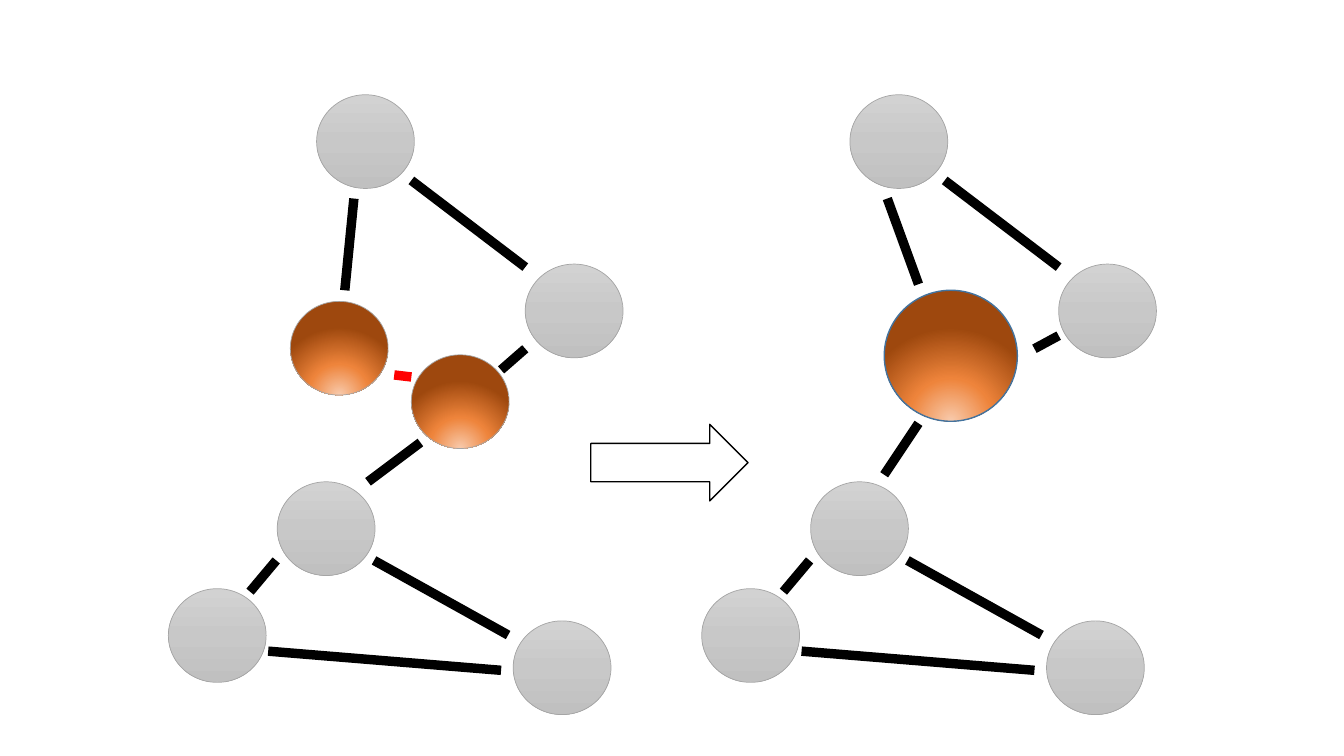
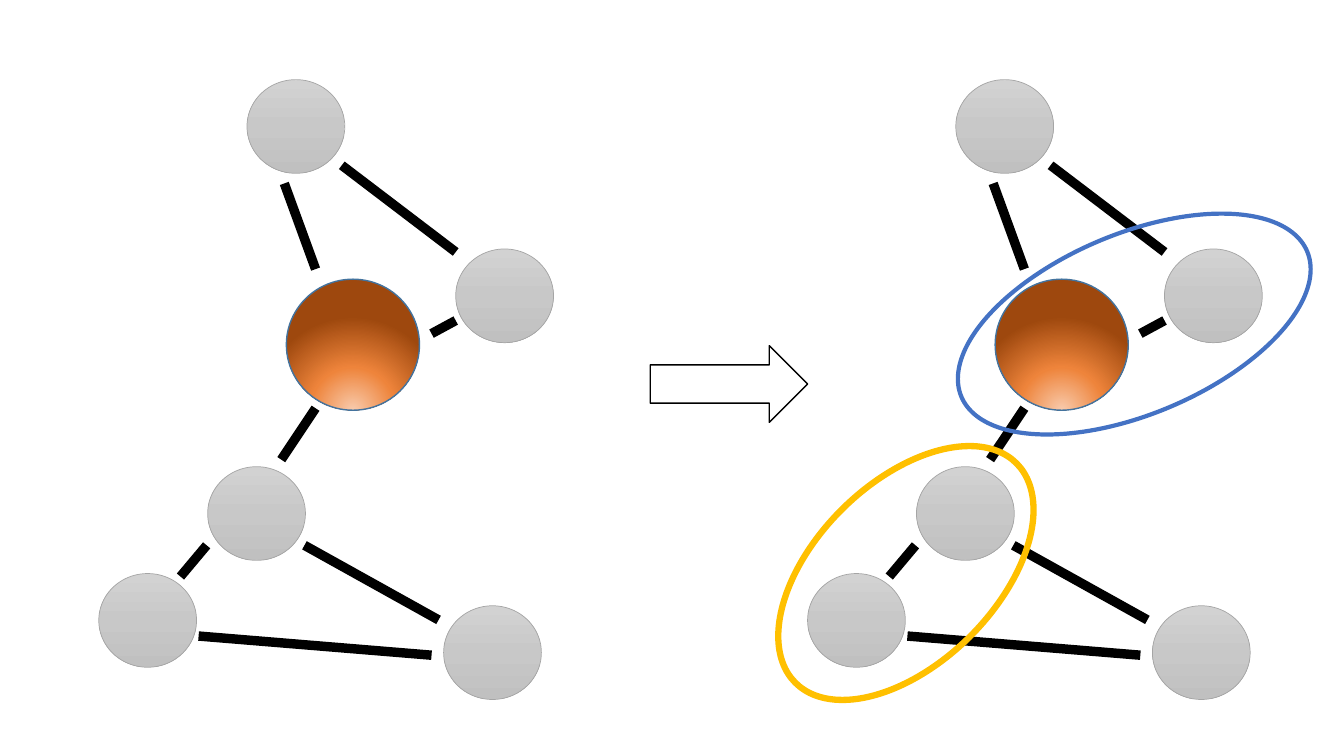
from lxml import etree
from pptx import Presentation
from pptx import util as u
from pptx.dml.color import RGBColor
from pptx.enum import shapes
from pptx.oxml import ns

BLACK = RGBColor(0x00, 0x00, 0x00)
WHITE = RGBColor(0xFF, 0xFF, 0xFF)
RED = RGBColor(0xFF, 0x00, 0x00)
BLUE = RGBColor(0x44, 0x72, 0xC4)
GOLD = RGBColor(0xFF, 0xC0, 0x00)
GREY_EDGE = RGBColor(0xA5, 0xA5, 0xA5)
HUB_EDGE = RGBColor(0x43, 0x73, 0x9E)

# Gradient stops: position in percent, colour
GREY_STOPS = [(0, RGBColor(0xD2, 0xD2, 0xD2)), (50, RGBColor(0xC8, 0xC8, 0xC8)),
              (100, RGBColor(0xC0, 0xC0, 0xC0))]
ORANGE_STOPS = [(0, RGBColor(0xF8, 0xCB, 0xAD)), (46, RGBColor(0xEE, 0x84, 0x3B)),
                (100, RGBColor(0x9E, 0x48, 0x0E))]

# Network geometry, in inches from the network's own origin
NODE_SIZE = (0.97, 0.93)
HUB_SIZE = (1.32, 1.3)
GREY_NODES = [(3.54, 1.68), (1.47, 0), (3.42, 5.22), (1.08, 3.84), (0, 4.9)]
SPLIT_NODES = [(1.21, 2.05), (2.41, 2.58)]
OUTER_LINKS = [(2.04, 4.62, 3.37, 5.36), (0.99, 5.52, 3.3, 5.71),
               (2.41, 0.85, 3.54, 1.71), (1.07, 4.62, 0.81, 4.93)]
SPLIT_LINKS = [(1.75, 1.94, 1.84, 1.03), (3.3, 2.73, 3.54, 2.52),
               (1.98, 3.84, 2.5, 3.45)]
MERGED_LINKS = [(2.15, 1.88, 1.84, 1.03), (3.3, 2.52, 3.54, 2.39),
                (1.81, 3.77, 2.15, 3.26)]
CONTRACTED_LINK = (2.24, 2.78, 2.41, 2.8)

# Each slide: networks as (left, top, hub position or None), arrow position,
# rings as (left, top, width, height, rotation, colour, line width)
SLIDES = [
    {"networks": [(1.67, 0.94, None), (6.96, 0.94, (1.81, 1.94))],
     "arrow": (5.86, 4.21),
     "rings": []},
    {"networks": [(0.98, 0.79, (1.86, 1.98)), (8.01, 0.79, (1.86, 1.98))],
     "arrow": (6.45, 3.43),
     "rings": [(9.39, 2.32, 3.72, 1.79, 337.2, BLUE, 3),
               (7.44, 4.79, 3.09, 1.79, 315.3, GOLD, 4.5)]},
]


def add_outline(parent, kind, left, top, width, height, color, weight,
                fill=None, stops=None):
    """Add a preset shape with a solid, gradient or empty fill."""
    shape = parent.add_shape(kind, u.Inches(left), u.Inches(top),
                             u.Inches(width), u.Inches(height))
    shape.shadow.inherit = False
    shape.line.color.rgb = color
    shape.line.width = u.Pt(weight)
    if stops:
        shape.fill.gradient()
        gradient = shape.element.spPr.find(ns.qn("a:gradFill"))
        for child in list(gradient):
            gradient.remove(child)
        stop_list = etree.SubElement(gradient, ns.qn("a:gsLst"))
        for position, stop_color in stops:
            stop = etree.SubElement(stop_list, ns.qn("a:gs"), pos=str(position * 1000))
            etree.SubElement(stop, ns.qn("a:srgbClr"), val=str(stop_color))
        if stops is ORANGE_STOPS:
            glow = etree.SubElement(gradient, ns.qn("a:path"), path="circle")
            etree.SubElement(glow, ns.qn("a:fillToRect"),
                             l="50000", t="130000", r="50000", b="-30000")
        else:
            etree.SubElement(gradient, ns.qn("a:lin"), ang="5400000", scaled="0")
    elif fill is not None:
        shape.fill.solid()
        shape.fill.fore_color.rgb = fill
    else:
        shape.fill.background()
    return shape


deck = Presentation()
deck.slide_width = u.Inches(13.33)
deck.slide_height = u.Inches(7.5)
OVAL = shapes.MSO_SHAPE.OVAL

for layout in SLIDES:
    page = deck.slides.add_slide(deck.slide_layouts[6])

    # Networks, each as one group
    for left, top, hub in layout["networks"]:
        network = page.shapes.add_group_shape().shapes
        nodes = [(node, GREY_STOPS) for node in GREY_NODES]
        links = [(link, BLACK) for link in OUTER_LINKS]
        if hub:
            links += [(link, BLACK) for link in MERGED_LINKS]
        else:
            nodes += [(node, ORANGE_STOPS) for node in SPLIT_NODES]
            links += [(link, BLACK) for link in SPLIT_LINKS]
            links.append((CONTRACTED_LINK, RED))

        for (x, y), stops in nodes:
            add_outline(network, OVAL, left + x, top + y, *NODE_SIZE,
                        GREY_EDGE, 0.5, stops=stops)
        for (x1, y1, x2, y2), color in links:
            line = network.add_connector(
                shapes.MSO_CONNECTOR.STRAIGHT,
                u.Inches(left + x1), u.Inches(top + y1),
                u.Inches(left + x2), u.Inches(top + y2))
            line.line.color.rgb = color
            line.line.width = u.Pt(6.75)
            etree.SubElement(line.element.spPr, ns.qn("a:effectLst"))
        if hub:
            add_outline(network, OVAL, left + hub[0], top + hub[1], *HUB_SIZE,
                        HUB_EDGE, 1, stops=ORANGE_STOPS)

    # Arrow between the networks
    add_outline(page.shapes, shapes.MSO_SHAPE.RIGHT_ARROW, *layout["arrow"],
                1.56, 0.76, BLACK, 1, fill=WHITE)

    # Rings around paired nodes
    for left, top, width, height, rotation, color, weight in layout["rings"]:
        ring = add_outline(page.shapes, OVAL, left, top, width, height, color, weight)
        ring.rotation = rotation

deck.save("out.pptx")
